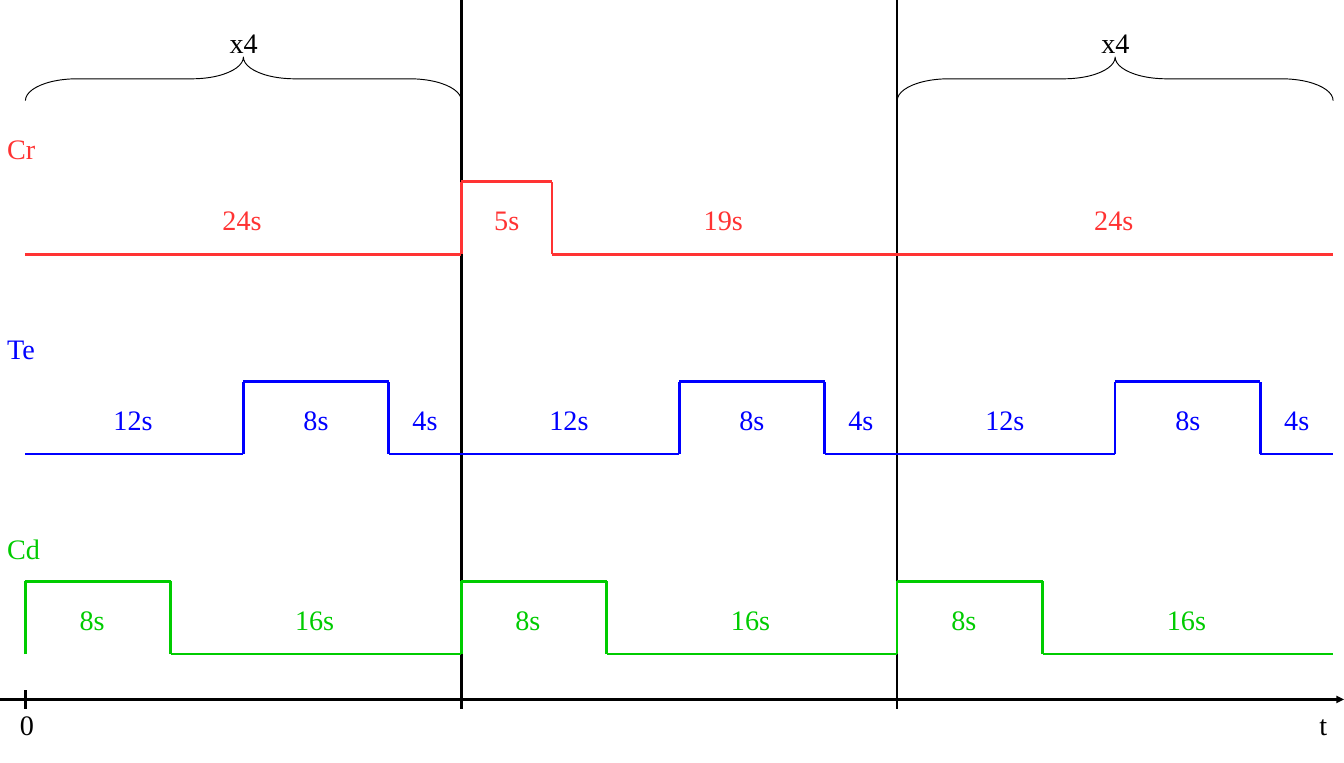
from dataclasses import dataclass

from lxml.etree import SubElement
from pptx import Presentation
from pptx.dml.color import RGBColor
from pptx.enum.shapes import MSO_CONNECTOR, MSO_SHAPE
from pptx.enum.text import MSO_AUTO_SIZE, PP_ALIGN
from pptx.oxml.ns import qn
from pptx.util import Cm, Pt


@dataclass(frozen=True)
class Theme:
    font: str = "Times New Roman"
    size: int = 22
    line: int = 0
    black: str = "000000"
    red: str = "FF3333"
    blue: str = "0000FF"
    green: str = "00CC00"


THEME = Theme()
LEFT, CENTER = PP_ALIGN.LEFT, PP_ALIGN.CENTER

# Time scale and heights, in cm
START, SCALE = 0.7, 0.5
CYCLE, COUNT = 24, 3
AXIS, TICK, STEP = 19.25, 0.25, 2
WIDE, TALL = 1.65, 1.12

# Name, top, colour, (seconds, level) phases, width and alignment of short labels
TRACES = [
    ("Cr", 5, THEME.red, [(24, 0), (5, 1), (19, 0), (24, 0)], WIDE, CENTER),
    ("Te", 10.5, THEME.blue, [(12, 0), (8, 1), (4, 0)] * COUNT, WIDE, CENTER),
    ("Cd", 16, THEME.green, [(8, 1), (16, 0)] * COUNT, 1.52, LEFT),
]


def place(sec):
    return START + sec * SCALE


def text(slide, words, x, y, wide, color=THEME.black, align=LEFT):
    box = slide.shapes.add_textbox(Cm(x), Cm(y), Cm(wide), Cm(TALL))
    frame = box.text_frame
    frame.word_wrap = True
    frame.auto_size = MSO_AUTO_SIZE.SHAPE_TO_FIT_TEXT
    par = frame.paragraphs[0]
    par.alignment = align
    run = par.add_run()
    run.text = words
    run.font.name = THEME.font
    run.font.size = Pt(THEME.size)
    run.font.color.rgb = RGBColor.from_string(color)


def stroke(shape, color):
    shape.line.width = Pt(THEME.line)
    shape.line.color.rgb = RGBColor.from_string(color)


def line(slide, x1, y1, x2, y2, color=THEME.black, arrow=False):
    link = slide.shapes.add_connector(
        MSO_CONNECTOR.STRAIGHT, Cm(x1), Cm(y1), Cm(x2), Cm(y2))
    stroke(link, color)
    props = link._element.spPr
    if arrow:
        SubElement(props.find(qn("a:ln")), qn("a:tailEnd"), type="triangle")
    SubElement(props, qn("a:effectLst"))


def brace(slide, cycle):
    mid = place((cycle + 0.5) * CYCLE)
    wide, tall, top = CYCLE * SCALE, 1.2, 1.57
    # Sized upright, then turned about its centre
    shape = slide.shapes.add_shape(
        MSO_SHAPE.LEFT_BRACE, Cm(mid - tall / 2), Cm(top + (tall - wide) / 2),
        Cm(tall), Cm(wide))
    shape.rotation = 90
    shape.adjustments[0] = 1.18
    shape.shadow.inherit = False
    shape.fill.background()
    stroke(shape, THEME.black)
    text(slide, "x4", mid - 0.7, 0.58, 1.42, align=CENTER)


def trace(slide, name, top, color, phases, short, align):
    text(slide, name, -0.05, top - 1.5, 1.52, color=color)
    low, sec, last = top + STEP, 0, 0
    for span, level in phases:
        x1, x2 = place(sec), place(sec + span)
        y = low - level * STEP
        if level != last:
            line(slide, x1, low, x1, top, color=color)
        line(slide, x1, y, x2, y, color=color)
        wide, side = (WIDE, LEFT) if span > 9 else (short, align)
        text(slide, f"{span}s", (x1 + x2 - wide) / 2, top + 0.44, wide,
             color=color, align=side)
        sec, last = sec + span, level


def axis(slide, width):
    line(slide, 0, AXIS, width, AXIS, arrow=True)
    for cycle in range(COUNT):
        x = place(cycle * CYCLE)
        line(slide, x, 0 if cycle else AXIS - TICK, x, AXIS + TICK)
    text(slide, "0", 0.3, 19.35, 0.82, align=CENTER)
    text(slide, "t", 36.07, 19.35, 1.1)


def main():
    deck = Presentation()
    deck.slide_width, deck.slide_height = Cm(37), Cm(21)
    slide = deck.slides.add_slide(deck.slide_layouts[6])
    # Time axis and cycle limits
    axis(slide, 37)
    # Repeated cycles
    for cycle in (0, 2):
        brace(slide, cycle)
    # Signals
    for row in TRACES:
        trace(slide, *row)
    deck.save("out.pptx")


main()
